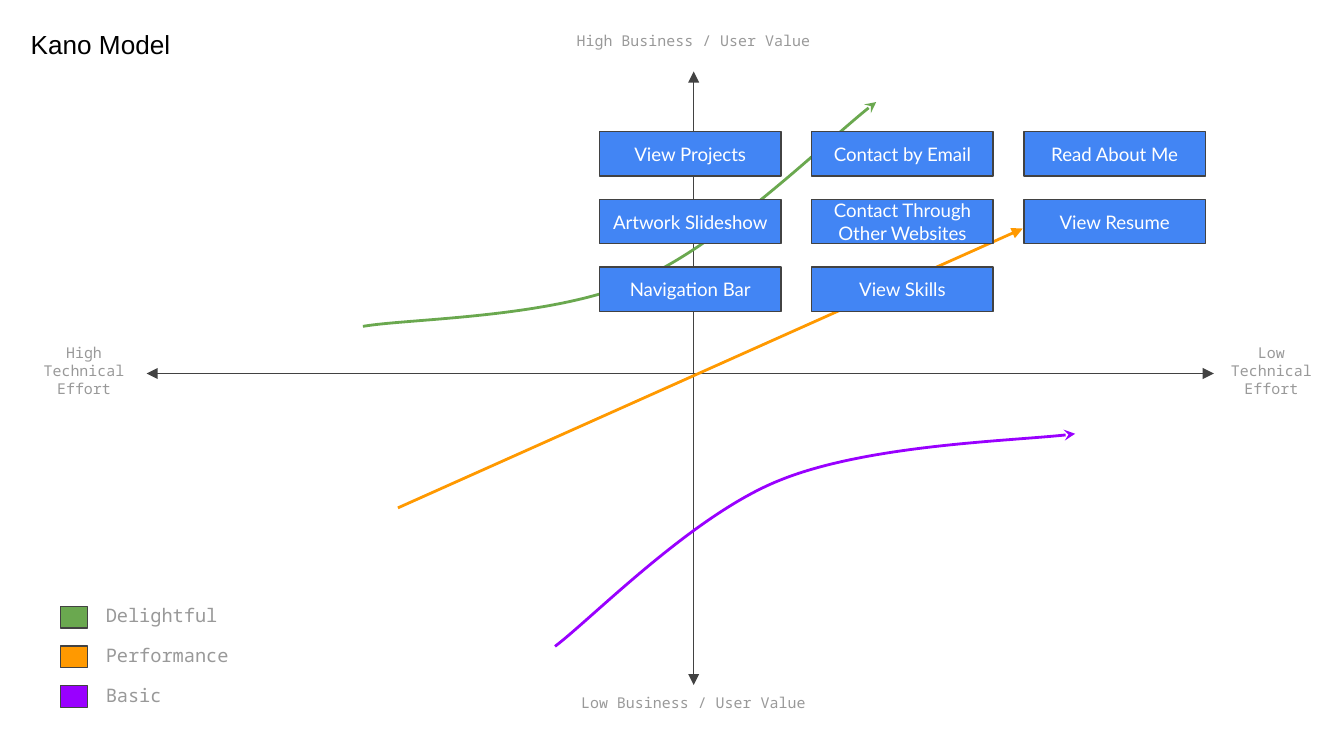
import dataclasses
import typing

import pptx
import pptx.dml.color
import pptx.enum.shapes
import pptx.enum.text
import pptx.oxml
import pptx.oxml.ns
import pptx.util

Cm = pptx.util.Cm
Pt = pptx.util.Pt
ALIGN = pptx.enum.text.PP_ALIGN
ANCHOR = pptx.enum.text.MSO_ANCHOR
Point = tuple[float, float]

COLORS = {
    "axis": "424242",
    "label": "999999",
    "feature": "4285F4",
    "feature text": "FFFFFF",
    "title": "000000",
    "Delightful": "6AA84F",
    "Performance": "FF9900",
    "Basic": "9900FF",
}
MONO = "Noto Sans Mono"


@dataclasses.dataclass
class Box:
    left: float
    top: float
    width: float
    height: float

    def lengths(self) -> list[int]:
        return [Cm(v) for v in (self.left, self.top, self.width, self.height)]


@dataclasses.dataclass
class Label:
    text: str
    box: Box
    size: float = 8
    font: str = MONO
    color: str = "label"
    align: typing.Any = ALIGN.CENTER
    anchor: typing.Any = ANCHOR.TOP


@dataclasses.dataclass
class Arrow:
    start: Point
    end: Point
    color: str
    width: float
    ends: tuple[str, ...]


@dataclasses.dataclass
class Curve:
    category: str
    points: list[Point]  # start, then control, control, end for each span


def rgb(name: str) -> pptx.dml.color.RGBColor:
    return pptx.dml.color.RGBColor.from_string(COLORS[name])


def write(shape, label: Label) -> None:
    frame = shape.text_frame
    frame.word_wrap = True
    frame.vertical_anchor = label.anchor
    frame.margin_left = frame.margin_right = Cm(0.25)
    frame.margin_top = frame.margin_bottom = Cm(0.25)
    paragraph = frame.paragraphs[0]
    paragraph.text = label.text
    paragraph.alignment = label.align
    paragraph.font.size = Pt(label.size)
    paragraph.font.name = label.font
    paragraph.font.color.rgb = rgb(label.color)


def add_label(slide, label: Label) -> None:
    write(slide.shapes.add_textbox(*label.box.lengths()), label)


def add_rectangle(slide, box: Box, color: str):
    rectangle = slide.shapes.add_shape(
        pptx.enum.shapes.MSO_SHAPE.RECTANGLE, *box.lengths())
    rectangle.shadow.inherit = False
    rectangle.fill.solid()
    rectangle.fill.fore_color.rgb = rgb(color)
    rectangle.line.color.rgb = rgb("axis")
    rectangle.line.width = Pt(0.75)
    return rectangle


def style_line(shape, color: str, width: float, ends: tuple[str, ...], head: str) -> None:
    shape.line.color.rgb = rgb(color)
    shape.line.width = Pt(width)
    outline = shape._element.spPr.get_or_add_ln()
    for end in ends:
        arrowhead = pptx.oxml.parse_xml(
            f'<a:{end} {pptx.oxml.ns.nsdecls("a")} type="{head}"/>')
        outline.append(arrowhead)


def add_arrow(slide, arrow: Arrow) -> None:
    connector = slide.shapes.add_connector(
        pptx.enum.shapes.MSO_CONNECTOR.STRAIGHT,
        *[Cm(v) for v in arrow.start + arrow.end])
    style_line(connector, arrow.color, arrow.width, arrow.ends, "triangle")
    connector._element.spPr.append(
        pptx.oxml.parse_xml(f'<a:effectLst {pptx.oxml.ns.nsdecls("a")}/>'))


def add_curve(slide, curve: Curve) -> None:
    points = [(Cm(x), Cm(y)) for x, y in curve.points]
    builder = slide.shapes.build_freeform(*points[0])
    builder.add_line_segments(points[1:], close=False)
    line = builder.convert_to_shape()
    line.shadow.inherit = False
    line.fill.background()
    style_line(line, curve.category, 1.5, ("tailEnd",), "stealth")

    # Turn each three straight segments into one Bézier span
    qn = pptx.oxml.ns.qn
    segments = list(line._element.iter(qn("a:lnTo")))
    for i in range(0, len(segments), 3):
        span = pptx.oxml.parse_xml(
            f'<a:cubicBezTo {pptx.oxml.ns.nsdecls("a")}/>')
        segments[i].addprevious(span)
        for segment in segments[i:i + 3]:
            span.append(segment.find(qn("a:pt")))
            segment.getparent().remove(segment)


BOTH_ENDS = ("headEnd", "tailEnd")
ARROWS = [
    Arrow((13.11, 1.35), (13.11, 12.95), "axis", 0.75, BOTH_ENDS),
    Arrow((22.94, 7.06), (2.77, 7.06), "axis", 0.75, BOTH_ENDS),
    Arrow((7.52, 9.6), (19.33, 4.32), "Performance", 1.5, ("tailEnd",)),
]
CURVES = [
    Curve("Delightful", [(6.86, 6.17), (7.72, 6.02), (10.41, 6.02), (12.04, 5.31),
                         (13.64, 4.62), (15.8, 2.49), (16.56, 1.93)]),
    Curve("Basic", [(10.49, 12.22), (11.2, 11.68), (13.08, 9.75), (14.71, 9.09),
                    (16.36, 8.41), (19.38, 8.33), (20.32, 8.2)]),
]
LABELS = [
    Label("Kano Model", Box(0.33, 0.28, 3.96, 0.79), 14, "Arial", "title", ALIGN.LEFT),
    Label("High Business / User Value", Box(10.62, 0.43, 4.98, 0.91)),
    Label("Low Business / User Value", Box(10.62, 12.95, 4.98, 0.91)),
    Label("High Technical Effort", Box(0.28, 6.55, 2.62, 0.91), anchor=ANCHOR.MIDDLE),
    Label("Low Technical Effort", Box(22.94, 6.55, 2.18, 0.91), anchor=ANCHOR.MIDDLE),
]
FEATURES = [
    ["View Projects", "Contact by Email", "Read About Me"],
    ["Artwork Slideshow", "Contact Through Other Websites", "View Resume"],
    ["Navigation Bar", "View Skills"],
]


def main() -> None:
    deck = pptx.Presentation()
    deck.slide_width, deck.slide_height = Cm(25.4), Cm(14.29)
    slide = deck.slides.add_slide(deck.slide_layouts[6])

    # Axes and category lines
    for arrow in ARROWS:
        add_arrow(slide, arrow)
    for curve in CURVES:
        add_curve(slide, curve)

    # Title and axis labels
    for label in LABELS:
        add_label(slide, label)

    # Legend
    for row, category in enumerate(("Delightful", "Performance", "Basic")):
        top = 11.46 + 0.75 * row
        add_rectangle(slide, Box(1.14, top, 0.51, 0.41), category)
        add_label(slide, Label(category, Box(1.75, top - 0.25, 4.98, 0.91),
                               10, align=ALIGN.LEFT))

    # Feature grid
    for row, names in enumerate(FEATURES):
        for column, name in enumerate(names):
            box = Box(11.33 + 4.01 * column, 2.49 + 1.28 * row, 3.43, 0.84)
            write(add_rectangle(slide, box, "feature"),
                  Label(name, box, 10, "Lato", "feature text", anchor=ANCHOR.MIDDLE))

    deck.save("out.pptx")


if __name__ == "__main__":
    main()
